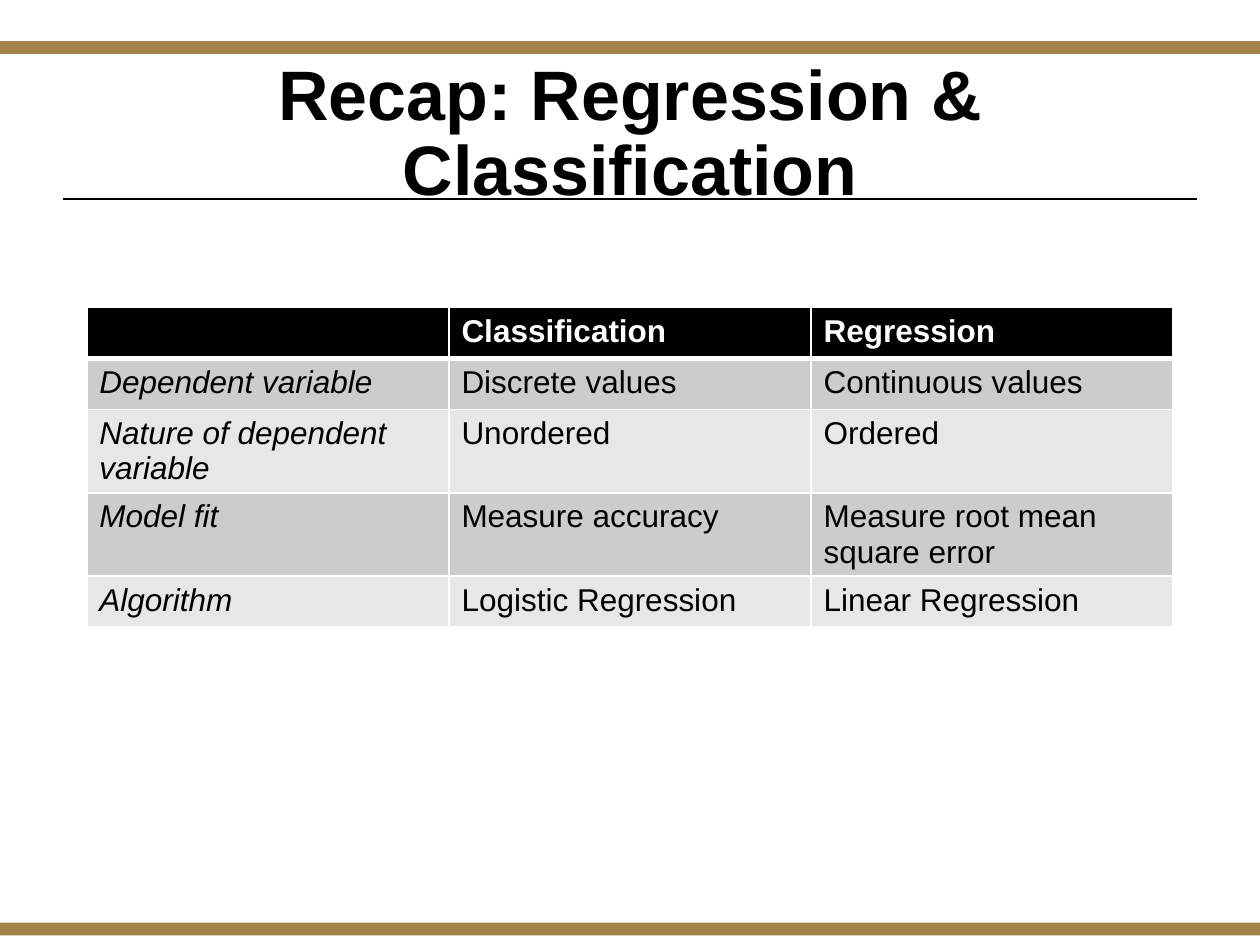
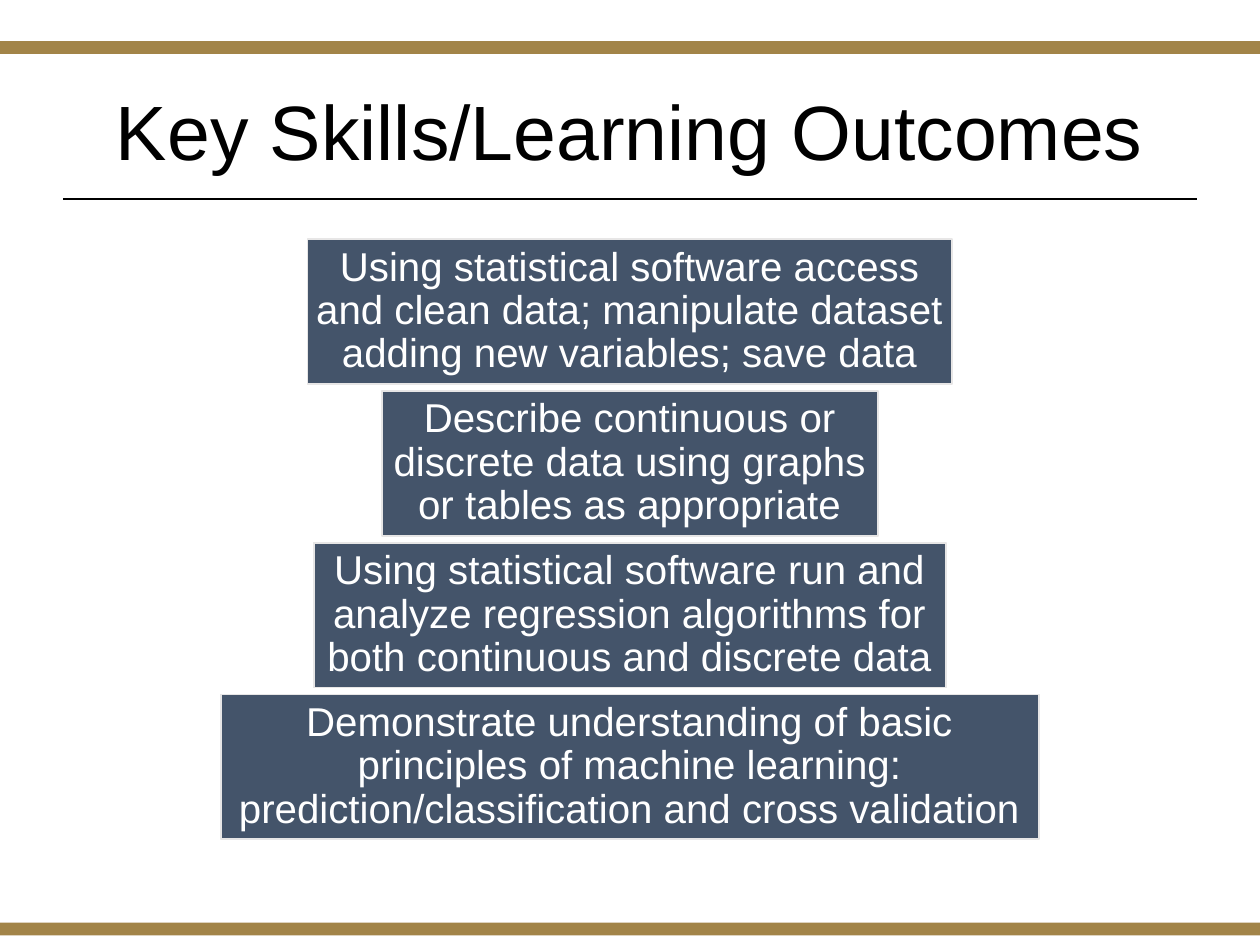
from lxml import etree
from pptx import Presentation
from pptx.dml.color import RGBColor
from pptx.enum.shapes import MSO_CONNECTOR, MSO_SHAPE
from pptx.enum.text import MSO_ANCHOR, MSO_AUTO_SIZE, PP_ALIGN
from pptx.oxml.ns import qn
from pptx.util import Cm, Pt

RECTANGLE = MSO_SHAPE.RECTANGLE
STRAIGHT = MSO_CONNECTOR.STRAIGHT
MIDDLE = MSO_ANCHOR.MIDDLE
CENTER = PP_ALIGN.CENTER
NO_FIT = MSO_AUTO_SIZE.NONE

FONT = "Arial"
COLORS = {
    "band": "A28448",
    "black": "000000",
    "white": "FFFFFF",
    "odd_row": "CCCCCC",
    "even_row": "E7E7E7",
    "skill": "44546A",
    "skill_edge": "E7E6E6",
}
PAGE_WIDTH, PAGE_HEIGHT = 25.4, 19.05
TITLE_BOX = (1.75, 0.89, 21.9, 3.68)
TABLE_BOX = (1.75, 6.2, 21.9, 5.15)
SKILLS_BOX = (4.45, 4.82, 16.5, 12.1)
BAND_TOPS = (18.6, 0.83)
BAND_HEIGHT = 0.26
RULE_MARGIN, RULE_TOP = 1.27, 4.01

COMPARISON = [
    ("", "Classification", "Regression"),
    ("Dependent variable", "Discrete values", "Continuous values"),
    ("Nature of dependent variable", "Unordered", "Ordered"),
    ("Model fit", "Measure accuracy", "Measure root mean square error"),
    ("Algorithm", "Logistic Regression", "Linear Regression"),
]
SKILLS = [
    ("Using statistical software access and clean data; manipulate dataset "
     "adding new variables; save data", 13),
    ("Describe continuous or discrete data using graphs or tables as appropriate", 10),
    ("Using statistical software run and analyze regression algorithms for "
     "both continuous and discrete data", 12.75),
    ("Demonstrate understanding of basic principles of machine learning: "
     "prediction/classification and cross validation", 16.5),
]


def rgb(name):
    """Return the named colour."""
    return RGBColor.from_string(COLORS[name])


def style_text(frame, size, color, bold=False, italic=False):
    """Format every run in a text frame."""
    for para in frame.paragraphs:
        for span in para.runs:
            font = span.font
            font.name, font.size = FONT, Pt(size)
            font.bold, font.italic = bold, italic
            font.color.rgb = rgb(color)


def center_text(frame):
    """Centre a text frame both ways with tight lines."""
    frame.word_wrap = True
    frame.auto_size = NO_FIT
    frame.vertical_anchor = MIDDLE
    for para in frame.paragraphs:
        para.alignment = CENTER
        para.line_spacing = 0.9


def add_rectangle(page, box, fill, edge=None):
    """Add a flat rectangle with an optional outline."""
    shape = page.shapes.add_shape(RECTANGLE, *map(Cm, box))
    shape.shadow.inherit = False
    shape.fill.solid()
    shape.fill.fore_color.rgb = rgb(fill)
    if edge:
        shape.line.color.rgb = rgb(edge)
        shape.line.width = Pt(1)
    else:
        shape.line.fill.background()
    return shape


def add_page(deck, title, size, bold=False):
    """Add a page with bands, a rule and a title."""
    page = deck.slides.add_slide(deck.slide_layouts.get_by_name("Title Only"))
    for top in BAND_TOPS:
        add_rectangle(page, (0, top, PAGE_WIDTH, BAND_HEIGHT), "band")
    rule = page.shapes.add_connector(
        STRAIGHT, Cm(RULE_MARGIN), Cm(RULE_TOP),
        Cm(PAGE_WIDTH - RULE_MARGIN), Cm(RULE_TOP))
    rule.line.color.rgb = rgb("black")
    rule.line.width = Pt(1.25)
    etree.SubElement(rule._element.spPr, qn("a:effectLst"))
    heading = page.shapes.title
    heading.left, heading.top, heading.width, heading.height = map(Cm, TITLE_BOX)
    heading.text_frame.text = title
    center_text(heading.text_frame)
    style_text(heading.text_frame, size, "black", bold)
    return page


def set_borders(cell, top, bottom):
    """Draw white cell borders with the given top and bottom widths."""
    properties = cell._tc.get_or_add_tcPr()
    for side, width in (("L", 1), ("R", 1), ("T", top), ("B", bottom)):
        line = etree.SubElement(properties, qn(f"a:ln{side}"), w=str(Pt(width)))
        fill = etree.SubElement(line, qn("a:solidFill"))
        etree.SubElement(fill, qn("a:srgbClr"), val=COLORS["white"])


def add_comparison(page, box):
    """Fill the box with the comparison table."""
    left, top, width, height = box
    rows, columns = len(COMPARISON), len(COMPARISON[0])
    table = page.shapes.add_table(rows, columns, *map(Cm, box)).table
    for column in table.columns:
        column.width = Cm(width / columns)
    for i, row in enumerate(COMPARISON):
        table.rows[i].height = Cm(height / rows)
        header = i == 0
        fill = "black" if header else "odd_row" if i % 2 else "even_row"
        for j, text in enumerate(row):
            cell = table.cell(i, j)
            set_borders(cell, 3 if i == 1 else 1, 3 if header else 1)
            cell.fill.solid()
            cell.fill.fore_color.rgb = rgb(fill)
            cell.text_frame.text = text
            style_text(cell.text_frame, 18, "white" if header else "black",
                       bold=header, italic=not header and j == 0)


def add_skills(page, box):
    """Stack the skill blocks, centred, down the box."""
    left, top, width, height = box
    gap = 0.14
    block_height = (height - gap * (len(SKILLS) - 1)) / len(SKILLS)
    for i, (text, block_width) in enumerate(SKILLS):
        block = add_rectangle(
            page,
            (left + (width - block_width) / 2, top + i * (block_height + gap),
             block_width, block_height),
            "skill", "skill_edge")
        frame = block.text_frame
        frame.text = text
        frame.margin_left = frame.margin_right = Cm(0.15)
        frame.margin_top = frame.margin_bottom = Cm(0.15)
        center_text(frame)
        style_text(frame, 23, "white")


def main():
    """Build and save the deck."""
    deck = Presentation()
    deck.slide_width, deck.slide_height = Cm(PAGE_WIDTH), Cm(PAGE_HEIGHT)
    recap = add_page(deck, "Recap: Regression & Classification", 40, bold=True)
    add_comparison(recap, TABLE_BOX)
    outcomes = add_page(deck, "Key Skills/Learning Outcomes", 44)
    add_skills(outcomes, SKILLS_BOX)
    deck.save("out.pptx")


if __name__ == "__main__":
    main()
